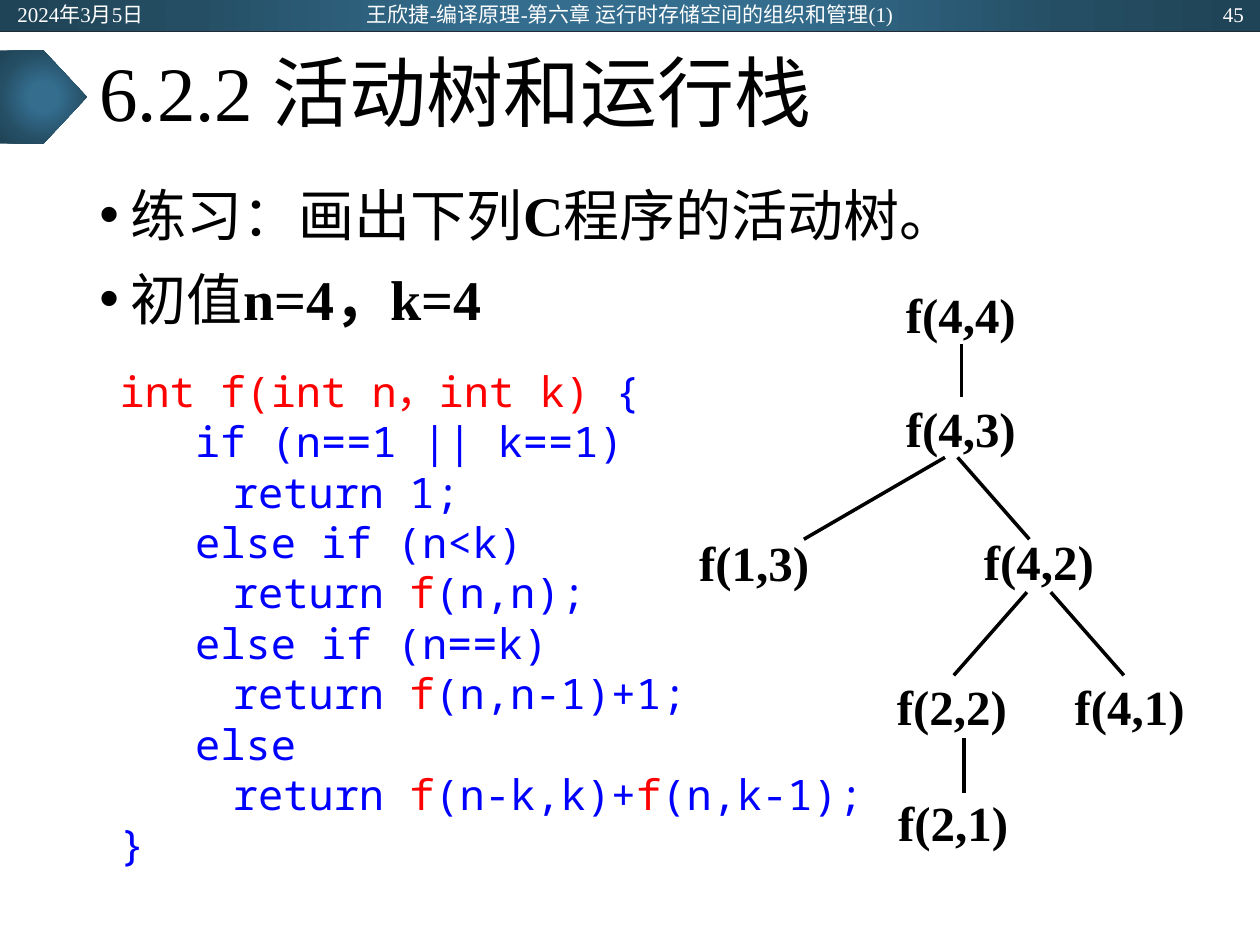
from lxml import etree
from pptx import Presentation
from pptx.dml.color import RGBColor
from pptx.enum import shapes, text
from pptx.oxml import ns
from pptx.util import Inches, Pt

BLACK = RGBColor(0, 0, 0)
WHITE = RGBColor(255, 255, 255)
RED = RGBColor(255, 0, 0)
BLUE = RGBColor(0, 0, 255)
NAVY = RGBColor(0x22, 0x2A, 0x35)
GRADIENT = [(0, "346D8E"), (23, "346D8E"), (69, "254E64"), (97, "204457")]
SERIF, MONO = "Times New Roman", "Noto Sans Mono"
ALIGN, ANCHOR = text.PP_ALIGN, text.MSO_ANCHOR

# Content
HEADER = [  # text, left, width, alignment
    ("2024年3月5日", 0.04, 2.25, ALIGN.LEFT),
    ("王欣捷-编译原理-第六章 运行时存储空间的组织和管理(1)", 2.58, 4.84, ALIGN.CENTER),
    ("45", 7.72, 2.25, ALIGN.RIGHT),
]
TITLE = "6.2.2 活动树和运行栈"
BULLETS = [  # runs of (text, bold)
    [("练习：画出下列", False), ("C", True), ("程序的活动树。", False)],
    [("初值", False), ("n=4，k=4", True)],
]
CODE = [  # pieces alternate blue, red, blue, ...
    ["", "int f(int n，int k) ", "{"],
    ["   if (n==1 || k==1)"],
    ["\t  return 1;"],
    ["   else if (n<k)"],
    ["\t  return ", "f", "(n,n);"],
    ["   else if (n==k)"],
    ["\t  return ", "f", "(n,n-1)+1;"],
    ["   else"],
    ["\t  return ", "f", "(n-k,k)+", "f", "(n,k-1);"],
    ["}"],
]
CALLS = [  # label, left, top
    ("f(4,4)", 7.09, 2.21), ("f(4,3)", 7.09, 3.11),
    ("f(1,3)", 5.45, 4.18), ("f(4,2)", 7.71, 4.17),
    ("f(2,2)", 7.02, 5.32), ("f(4,1)", 8.43, 5.32),
    ("f(2,1)", 7.03, 6.24),
]
BRANCHES = [  # from x, y, to x, y
    (7.63, 2.73, 7.63, 3.15),
    (7.5, 3.63, 6.38, 4.28), (7.6, 3.63, 8.17, 4.28),
    (8.15, 4.7, 7.57, 5.36), (8.34, 4.7, 8.92, 5.36),
    (7.65, 5.86, 7.65, 6.29),
]

presentation = Presentation()
presentation.slide_width, presentation.slide_height = Inches(10), Inches(7.5)
slide = presentation.slides.add_slide(presentation.slide_layouts[6])


def add_gradient_shape(kind, left, top, width, height):
    shape = slide.shapes.add_shape(kind, *map(Inches, (left, top, width, height)))
    shape.shadow.inherit = False
    shape.line.fill.background()
    shape.fill.gradient()
    gradient = shape._element.spPr.find(ns.qn("a:gradFill"))
    for child in list(gradient):
        gradient.remove(child)
    stops = etree.SubElement(gradient, ns.qn("a:gsLst"))
    for position, color in GRADIENT:
        stop = etree.SubElement(stops, ns.qn("a:gs"), pos=str(position * 1000))
        etree.SubElement(stop, ns.qn("a:srgbClr"), val=color)
    circle = etree.SubElement(gradient, ns.qn("a:path"), path="circle")
    etree.SubElement(circle, ns.qn("a:fillToRect"),
                     {side: "50000" for side in "ltrb"})


def add_line(ends, color, width):
    line = slide.shapes.add_connector(shapes.MSO_CONNECTOR.STRAIGHT, *map(Inches, ends))
    line.line.color.rgb, line.line.width = color, Pt(width)
    etree.SubElement(line._element.spPr, ns.qn("a:effectLst"))


def add_frame(left, top, width, height, anchor=ANCHOR.TOP):
    frame = slide.shapes.add_textbox(*map(Inches, (left, top, width, height))).text_frame
    frame.word_wrap = True
    frame.vertical_anchor = anchor
    return frame


def style(paragraph, size, color=BLACK, name=SERIF, bold=None):
    font = paragraph.font
    font.size, font.name, font.bold = Pt(size), name, bold
    if color is not None:
        font.color.rgb = color


def next_paragraph(frame, index):
    return frame.add_paragraph() if index else frame.paragraphs[0]


def add_label(label, box, size, align, color=BLACK, bold=None, anchor=ANCHOR.TOP):
    paragraph = add_frame(*box, anchor).paragraphs[0]
    paragraph.text, paragraph.alignment = label, align
    style(paragraph, size, color, bold=bold)
    return paragraph


# Header band and title marker
add_gradient_shape(shapes.MSO_SHAPE.RECTANGLE, 0, 0, 10, 0.25)
add_line((0, 0.25, 10, 0.25), NAVY, 0.5)
add_gradient_shape(shapes.MSO_SHAPE.PENTAGON, 0, 0.4, 0.69, 0.74)
for label, left, width, align in HEADER:
    add_label(label, (left, 0.01, width, 0.2), 12, align, WHITE, anchor=ANCHOR.MIDDLE)

# Title
title = add_label(TITLE, (0.69, 0.25, 8.62, 1.04), 44, ALIGN.LEFT, anchor=ANCHOR.MIDDLE)
title.line_spacing = 0.9

# Bullets
body = add_frame(0.69, 1.38, 8.62, 5.38)
for index, runs in enumerate(BULLETS):
    paragraph = next_paragraph(body, index)
    properties = paragraph._p.get_or_add_pPr()
    properties.set("marL", str(Inches(0.25)))
    properties.set("indent", str(-Inches(0.25)))
    if index:
        paragraph.space_before = Pt(10)
    etree.SubElement(properties, ns.qn("a:buFont"), typeface="Arial")
    etree.SubElement(properties, ns.qn("a:buChar"), char="•")
    style(paragraph, 32)
    for words, bold in runs:
        run = paragraph.add_run()
        run.text, run.font.bold = words, bold

# Program
program = add_frame(0.85, 2.85, 6.11, 4.14)
for index, pieces in enumerate(CODE):
    paragraph = next_paragraph(program, index)
    tabs = etree.SubElement(paragraph._p.get_or_add_pPr(), ns.qn("a:tabLst"))
    etree.SubElement(tabs, ns.qn("a:tab"), pos=str(Inches(0.5)), algn="l")
    style(paragraph, 24, None, MONO)
    for position, piece in enumerate(pieces):
        if piece:
            run = paragraph.add_run()
            run.text = piece
            run.font.color.rgb = RED if position % 2 else BLUE

# Activation tree
for label, left, top in CALLS:
    add_label(label, (left, top, 1.25, 0.76), 28, ALIGN.JUSTIFY, bold=True)
for ends in BRANCHES:
    add_line(ends, BLACK, 2)

presentation.save("out.pptx")
